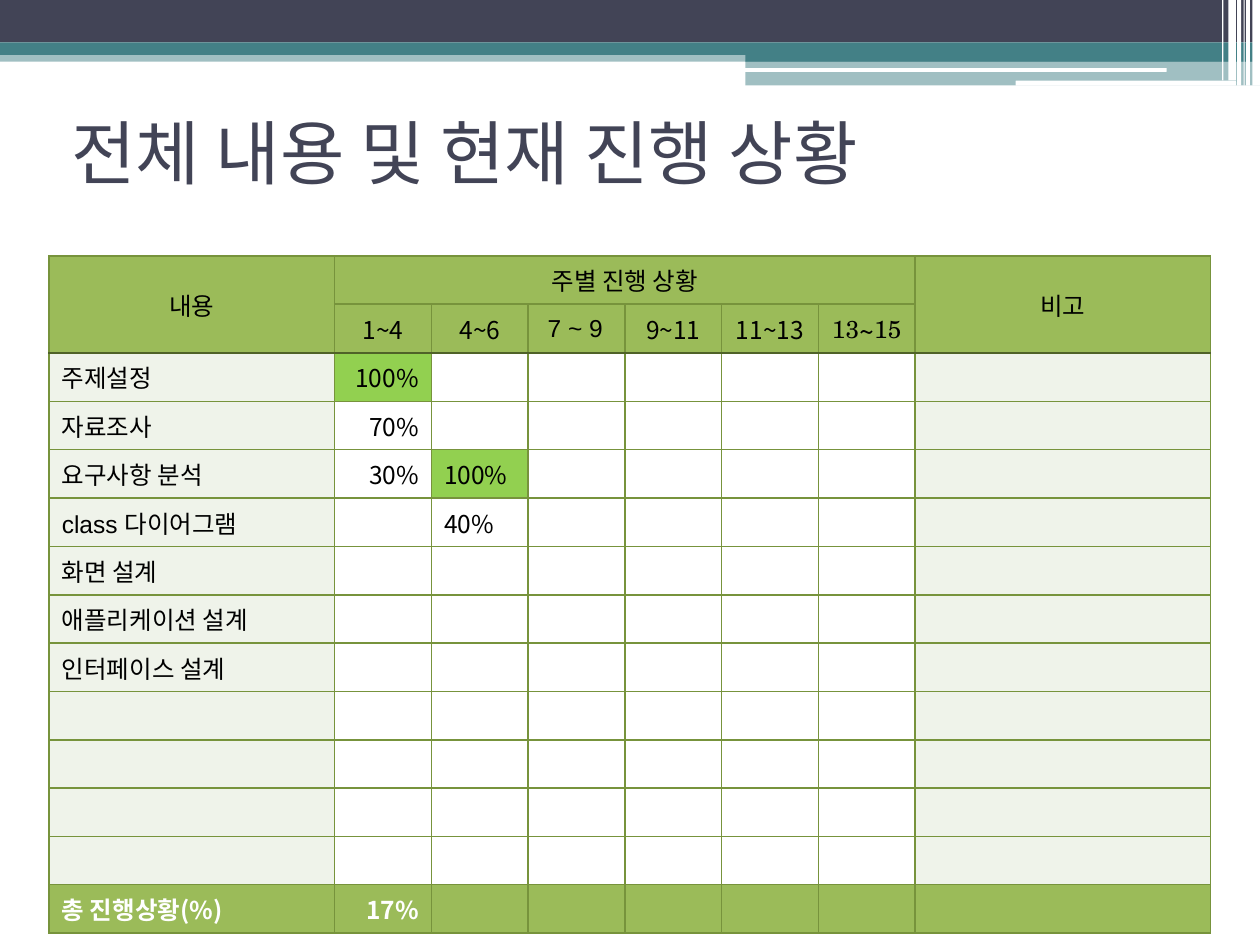
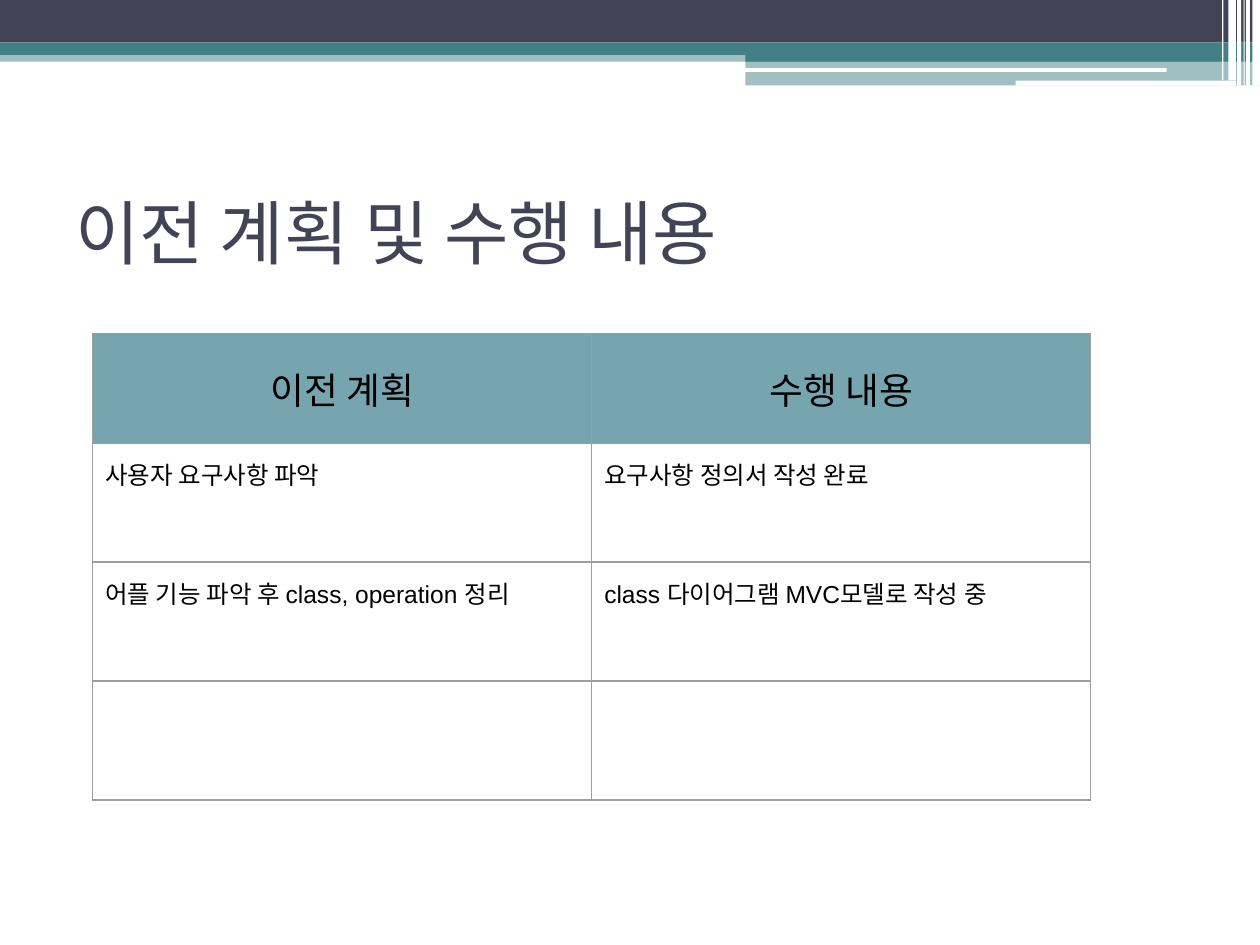
"""Build two progress-report slides with tables under a shared banded header."""
from lxml import etree
from pptx import Presentation
from pptx.dml.color import RGBColor
from pptx.enum.shapes import MSO_SHAPE
from pptx.enum.text import MSO_ANCHOR, MSO_AUTO_SIZE, PP_ALIGN
from pptx.oxml.ns import qn
from pptx.util import Pt

RECT, ROUND = MSO_SHAPE.RECTANGLE, MSO_SHAPE.ROUNDED_RECTANGLE
LEFT, CENTER, RIGHT = PP_ALIGN.LEFT, PP_ALIGN.CENTER, PP_ALIGN.RIGHT
TOP, MIDDLE = MSO_ANCHOR.TOP, MSO_ANCHOR.MIDDLE
NO_AUTOFIT = MSO_AUTO_SIZE.NONE

NAVY, TEAL, WHITE, BLACK = "424456", "438086", "FFFFFF", "000000"
OLIVE, PALE, DONE = "9BBB59", "EFF3EA", "92D050"
GRID, HEADER_RULE = "77933C", "4F6228"
BLUE, GREY = "76A5AF", "9E9E9E"
TITLE_FONT, LATIN, KOREAN, SERIF = "Lato", "Arial", "Noto Sans CJK KR", "TeX Gyre Schola"

# shape, left, top, width, height, colour, opacity in percent
BANDS = [
    (RECT, 0, 28.8, 720, 6.5, TEAL, 50),
    (RECT, 0, 0, 720, 24.2, NAVY, 100),
    (RECT, 0, 24.2, 720, 7.2, TEAL, 100),
    (RECT, 426, 28.1, 294, 7.2, TEAL, 100),
    (RECT, 426, 34.6, 294, 14.2, TEAL, 50),
    (ROUND, 425.5, 38.9, 241.2, 2.2, WHITE, 100),
    (ROUND, 580.3, 46.1, 126, 2.9, WHITE, 100),
] + [(RECT, x, 0, w, h, WHITE, 100) for x, w, h in [
    (715.7, 4.3, 49), (712.1, 2.2, 49), (710.6, 0.7, 49),
    (707, 2.2, 49), (702, 4.3, 46), (698.4, 0.7, 46)]]

PROGRESS_TITLE = "전체 내용 및 현재 진행 상황"
PROGRESS = [
    ["내용", "주별 진행 상황", "", "", "", "", "", "비고"],
    ["", "1~4", "4~6", " 7 ~ 9", "9~11", "11~13", "13~15"],
    ["주제설정", "100%"],
    ["자료조사", "70%"],
    ["요구사항 분석", "30%", "100%"],
    ["class 다이어그램", "", "40%"],
    ["화면 설계"],
    ["애플리케이션 설계"],
    ["인터페이스 설계"],
    [], [], [], [],
    ["총 진행상황(%)", "17%"],
]
PROGRESS_MERGES = [(0, 0, 1, 0), (0, 1, 0, 6), (0, 7, 1, 7)]
PROGRESS_FONTS = {" 7 ~ 9": LATIN, "13~15": SERIF, "class 다이어그램": LATIN,
                  "화면 설계": LATIN, "인터페이스 설계": LATIN}

PLAN_TITLE = "이전 계획 및 수행 내용"
PLAN = [
    ["이전 계획", "수행 내용"],
    ["사용자 요구사항 파악", "요구사항 정의서 작성 완료"],
    ["어플 기능 파악 후 class, operation 정리", "class 다이어그램 MVC모델로 작성 중"],
    [],
]


def rgb(value):
    """Turn a hex string into a colour."""
    return RGBColor.from_string(value)


def add_run(p, text, size, font, color, bold=False):
    """Add one formatted run with a Korean fallback font."""
    r = p.add_run()
    r.text = text
    r.font.size, r.font.bold, r.font.name = Pt(size), bold, font
    r.font.color.rgb = rgb(color)
    etree.SubElement(r.font._element, qn("a:ea"), typeface=KOREAN)


def add_bands(slide, layout):
    """Draw the header bands and move them to the layout."""
    for i, (kind, x, y, w, h, color, opacity) in enumerate(BANDS):
        s = slide.shapes.add_shape(kind, Pt(x), Pt(y), Pt(w), Pt(h))
        s.shadow.inherit = False
        s.line.fill.background()
        s.fill.solid()
        s.fill.fore_color.rgb = rgb(color)
        if opacity < 100:
            clr = s.element.spPr.find(".//" + qn("a:srgbClr"))
            etree.SubElement(clr, qn("a:alpha"), val=str(opacity * 1000))
        s.element.nvSpPr.cNvPr.set("id", str(100 + i))
        layout.element.cSld.spTree.append(s.element)


def set_title(slide, text, x, y):
    """Place and format the title."""
    sp = slide.shapes.title
    sp.left, sp.top, sp.width, sp.height = Pt(x), Pt(y), Pt(648), Pt(84.2)
    tf = sp.text_frame
    tf.word_wrap, tf.auto_size, tf.vertical_anchor = True, NO_AUTOFIT, MIDDLE
    p = tf.paragraphs[0]
    p.alignment = LEFT
    add_run(p, text, 40, TITLE_FONT, NAVY)


def set_border(cell, side, color, width):
    """Add one cell edge."""
    tcPr = cell._tc.get_or_add_tcPr()
    ln = etree.SubElement(tcPr, qn("a:ln" + side), w=str(Pt(width)))
    fill = etree.SubElement(ln, qn("a:solidFill"))
    etree.SubElement(fill, qn("a:srgbClr"), val=color)


def set_cell(cell, text, fill=None, size=14, font=KOREAN, color=BLACK, bold=False,
             align=LEFT, anchor=MIDDLE, pad=3.6):
    """Fill a cell and write its text."""
    if fill:
        cell.fill.solid()
        cell.fill.fore_color.rgb = rgb(fill)
    else:
        cell.fill.background()
    cell.margin_left = cell.margin_right = Pt(7.2)
    cell.margin_top = cell.margin_bottom = Pt(pad if text else 0)
    cell.vertical_anchor = anchor
    if text:
        p = cell.text_frame.paragraphs[0]
        p.alignment = align
        add_run(p, text, size, font, color, bold)


def add_grid(slide, x, y, widths, heights, rows, style, edge, width, merges=()):
    """Add a table whose cells follow the style and edge rules."""
    table = slide.shapes.add_table(len(heights), len(widths), Pt(x), Pt(y),
                                   Pt(sum(widths)), Pt(sum(heights))).table
    table.first_row = table.horz_banding = False
    for col, w in zip(table.columns, widths):
        col.width = Pt(w)
    for row, h in zip(table.rows, heights):
        row.height = Pt(h)
    for r0, c0, r1, c1 in merges:
        table.cell(r0, c0).merge(table.cell(r1, c1))
    for r, texts in enumerate(rows):
        for c in range(len(widths)):
            cell = table.cell(r, c)
            text = texts[c] if c < len(texts) else ""
            for side, line in (("L", None), ("R", None), ("T", r),
                               ("B", r + cell.span_height)):
                set_border(cell, side, edge(line), width)
            set_cell(cell, text, **style(r, c, text))


def progress_style(r, c, text):
    """Style a cell of the weekly progress table."""
    look = {"font": PROGRESS_FONTS.get(text, KOREAN)}
    if r < 2:
        look.update(fill=OLIVE, align=LEFT if c == 3 else CENTER)
        return look
    look["align"] = RIGHT if c == 1 else LEFT
    if r == len(PROGRESS) - 1:
        look.update(fill=OLIVE, color=WHITE, bold=True)
    elif c in (0, 7):
        look["fill"] = PALE
    elif text == "100%":
        look["fill"] = DONE
    return look


def plan_style(r, c, text):
    """Style a cell of the plan table."""
    if r == 0:
        return dict(fill=BLUE, size=21, font=LATIN, align=CENTER, pad=7.2)
    return dict(font=LATIN, anchor=TOP, pad=7.2)


def main():
    """Build and save the slides."""
    prs = Presentation()
    prs.slide_width, prs.slide_height = Pt(720), Pt(540)
    layout = prs.slide_layouts[5]

    slide = prs.slides.add_slide(layout)
    add_bands(slide, layout)
    set_title(slide, PROGRESS_TITLE, 33.8, 44.6)
    add_grid(slide, 28.1, 146.2, [163.2] + [55.3] * 6 + [168.7], [27.6] * len(PROGRESS),
             PROGRESS, progress_style,
             lambda line: HEADER_RULE if line == 2 else GRID, 1, PROGRESS_MERGES)

    slide = prs.slides.add_slide(layout)
    set_title(slide, PLAN_TITLE, 36, 90)
    add_grid(slide, 53, 190.6, [285.1] * 2, [62.6] + [68] * 3,
             PLAN, plan_style, lambda line: GREY, 0.75)
    prs.save("out.pptx")


if __name__ == "__main__":
    main()
